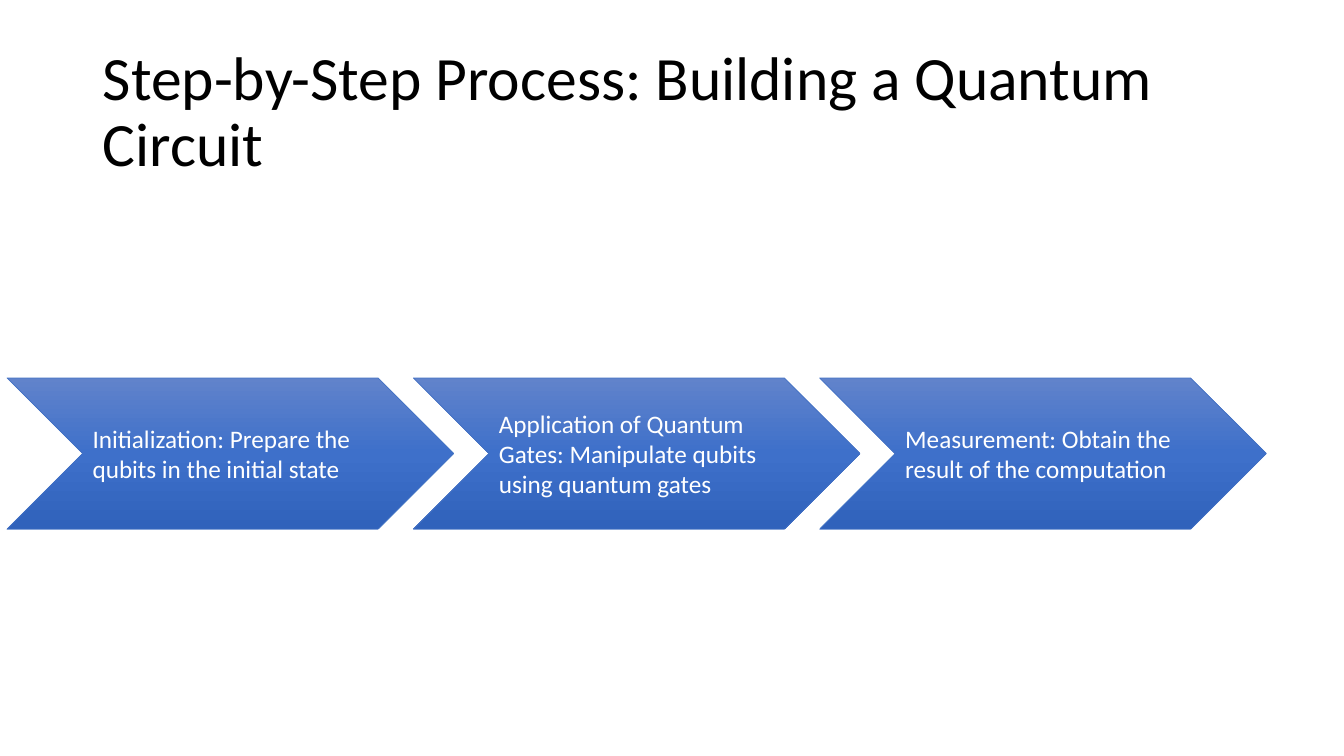
from copy import deepcopy
from dataclasses import dataclass

from pptx import Presentation
from pptx.dml.color import RGBColor
from pptx.enum.shapes import MSO_SHAPE
from pptx.enum.text import MSO_ANCHOR, MSO_AUTO_SIZE, PP_ALIGN
from pptx.oxml.ns import qn
from pptx.shapes.autoshape import Shape
from pptx.slide import Slide
from pptx.util import Pt

CHEVRON = MSO_SHAPE.CHEVRON
MIDDLE = MSO_ANCHOR.MIDDLE
NO_AUTOFIT = MSO_AUTO_SIZE.NONE
LEFT = PP_ALIGN.LEFT

EMU_PER_PX = 9144  # 100 px to the inch
FONT = "Calibri"
BLACK = RGBColor(0x00, 0x00, 0x00)
WHITE = RGBColor(0xFF, 0xFF, 0xFF)
LINE_BLUE = RGBColor(0x44, 0x72, 0xC4)
GRADIENT = (
    (0, RGBColor(0x61, 0x83, 0xCB)),
    (0.5, RGBColor(0x3E, 0x70, 0xCA)),
    (1, RGBColor(0x30, 0x62, 0xBB)),
)

TITLE = "Step-by-Step Process: Building a Quantum Circuit"
STEP_TEXTS = (
    "Initialization: Prepare the qubits in the initial state",
    "Application of Quantum Gates: Manipulate qubits using quantum gates",
    "Measurement: Obtain the result of the computation",
)
FIRST_STEP_LEFT = 7
STEP_PITCH = 403


@dataclass(frozen=True)
class Box:
    left: int
    top: int
    width: int
    height: int

    def emu(self) -> tuple[int, int, int, int]:
        return (self.left * EMU_PER_PX, self.top * EMU_PER_PX,
                self.width * EMU_PER_PX, self.height * EMU_PER_PX)


@dataclass(frozen=True)
class Step:
    text: str
    box: Box


def write_text(shape: Shape, text: str, size: int, color: RGBColor,
               line_spacing: float) -> None:
    frame = shape.text_frame
    frame.word_wrap = True
    frame.auto_size = NO_AUTOFIT
    frame.vertical_anchor = MIDDLE
    para = frame.paragraphs[0]
    para.alignment = LEFT
    para.line_spacing = line_spacing
    span = para.add_run()
    span.text = text
    span.font.name = FONT
    span.font.size = Pt(size)
    span.font.color.rgb = color


def fill_gradient(shape: Shape) -> None:
    """Fill from top to bottom with the stops of GRADIENT."""
    fill = shape.fill
    fill.gradient()
    fill.gradient_angle = 270
    stop_list = shape.element.spPr.find(qn("a:gradFill")).find(qn("a:gsLst"))
    while len(stop_list) < len(GRADIENT):
        stop_list.append(deepcopy(stop_list[0]))
    for stop, (position, color) in zip(fill.gradient_stops, GRADIENT):
        stop.position = position
        stop.color.rgb = color


def add_title(slide: Slide, text: str, box: Box) -> None:
    title = slide.shapes.title
    title.left, title.top, title.width, title.height = box.emu()
    write_text(title, text, 44, BLACK, 0.9)


def add_step(slide: Slide, step: Step) -> None:
    chevron = slide.shapes.add_shape(CHEVRON, *step.box.emu())
    chevron.shadow.inherit = False
    fill_gradient(chevron)
    chevron.line.color.rgb = LINE_BLUE
    chevron.line.width = Pt(0.5)
    write_text(chevron, step.text, 18, WHITE, 1.0)


def main() -> None:
    deck = Presentation()
    deck.slide_width = 1333 * EMU_PER_PX
    deck.slide_height = 750 * EMU_PER_PX
    page = deck.slides.add_slide(deck.slide_layouts.get_by_name("Title Only"))
    add_title(page, TITLE, Box(92, 40, 1150, 145))
    for index, text in enumerate(STEP_TEXTS):
        left = FIRST_STEP_LEFT + index * STEP_PITCH
        add_step(page, Step(text, Box(left, 375, 443, 150)))
    deck.save("out.pptx")


if __name__ == "__main__":
    main()
